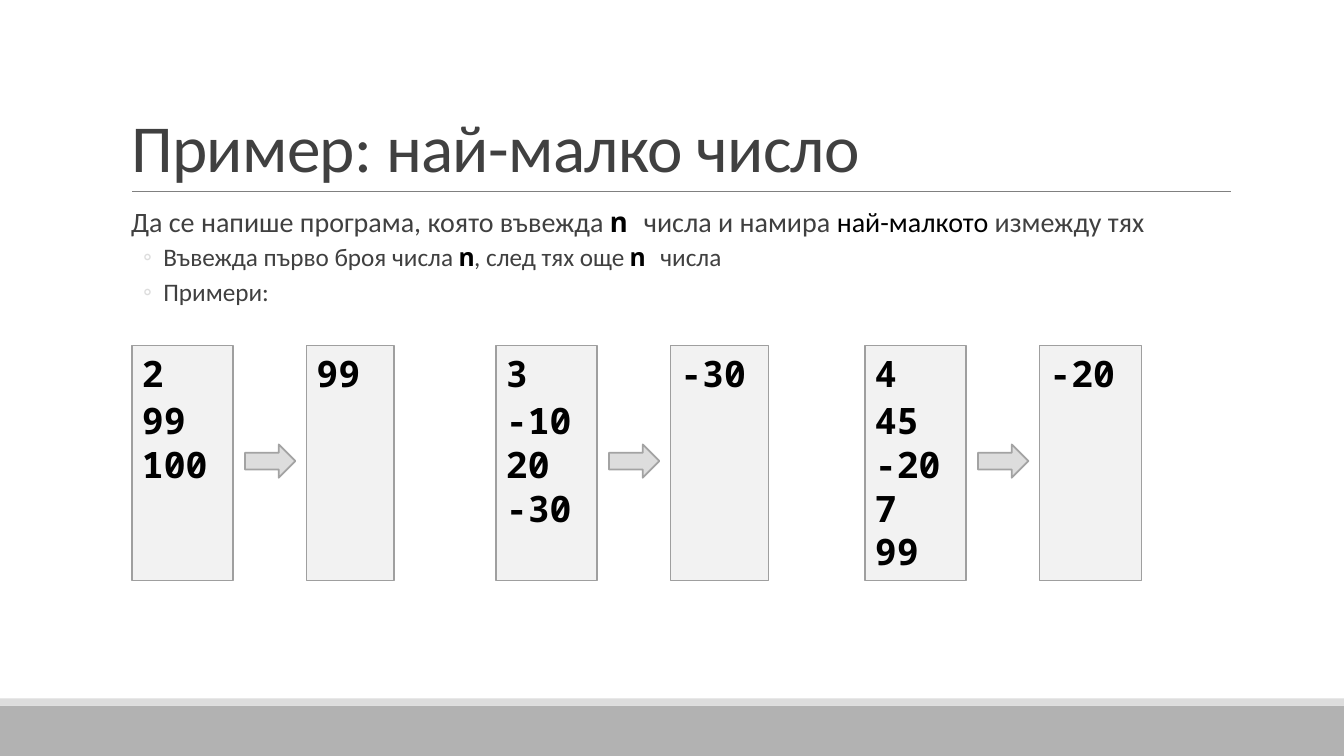
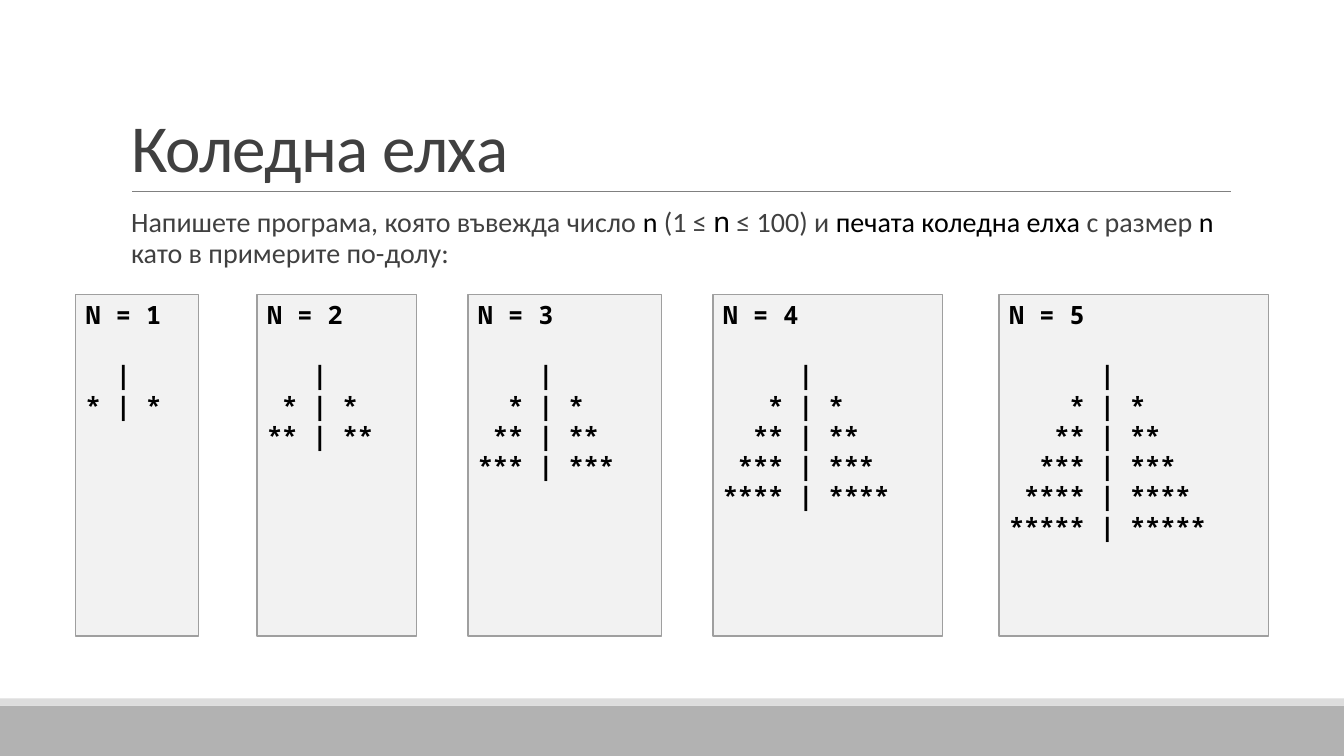
from lxml.etree import SubElement
from pptx import Presentation
from pptx.dml.color import RGBColor
from pptx.enum.shapes import MSO_CONNECTOR, MSO_SHAPE
from pptx.enum.text import MSO_ANCHOR as Anchor, MSO_AUTO_SIZE as AutoSize, PP_ALIGN as Align
from pptx.oxml.ns import qn
from pptx.util import Inches, Pt

SANS, MONO = "Calibri", "Noto Sans Mono"
INK, BLACK = "404040", "000000"
BAND, STRIPE, RULE = "B2B2B2", "DDDDDD", "808080"
PANEL, PANEL_EDGE, ARROW_EDGE = "BFBFBF", "9F9F9F", "A3A3A3"
SLIDE_W, SLIDE_H = 13.33, 7.5
TITLE_BOX = (1.2, 0.31, 11, 1.59)
BODY_BOX = (1.2, 2.02, 11, 4.4)
PLAIN, STRONG, CODE, CODE_BOLD = range(4)
LEVELS = [
    {"bullet": " ", "left": 0.1, "hang": 0.1, "size": 20, "before": 0, "after": 2},
    {"bullet": "◦", "left": 0.42, "hang": 0.2, "size": 18, "before": 2, "after": 4},
]


def rgb(code):
    """Turn a hex string into a colour."""
    return RGBColor.from_string(code)


def box(left, top, width, height):
    """Give a box in inches as lengths."""
    return [Inches(value) for value in (left, top, width, height)]


def place(placeholder, area):
    """Move a placeholder to a box."""
    placeholder.left, placeholder.top, placeholder.width, placeholder.height = box(*area)


def style(font, name, size, color, bold=False):
    """Set the face, size, colour and weight of a font."""
    font.name, font.size, font.bold = name, Pt(size), bold
    font.color.rgb = rgb(color)


def add_block(slide, preset, area, fill, edge=None, weight=1):
    """Add a filled shape, outlined when an edge colour is given."""
    block = slide.shapes.add_shape(preset, *box(*area))
    block.shadow.inherit = False
    block.fill.solid()
    block.fill.fore_color.rgb = rgb(fill)
    if edge:
        block.line.color.rgb = rgb(edge)
        block.line.width = Pt(weight)
    else:
        block.line.fill.background()
    return block


def add_frame(slide):
    """Draw the footer bands and the rule under the title."""
    add_block(slide, MSO_SHAPE.RECTANGLE, (0, 7, SLIDE_W, 0.5), BAND)
    add_block(slide, MSO_SHAPE.RECTANGLE, (0, 6.93, SLIDE_W, 0.07), STRIPE)
    rule = slide.shapes.add_connector(
        MSO_CONNECTOR.STRAIGHT, Inches(1.31), Inches(1.9), Inches(12.21), Inches(1.9))
    rule.line.color.rgb = rgb(RULE)
    rule.line.width = Pt(0.5)
    SubElement(rule._element.spPr, qn("a:effectLst"))


def fill_title(title, text):
    """Place and format the slide title."""
    place(title, TITLE_BOX)
    frame = title.text_frame
    frame.text = text
    frame.vertical_anchor, frame.auto_size = Anchor.BOTTOM, AutoSize.NONE
    heading = frame.paragraphs[0]
    heading.alignment, heading.line_spacing = Align.LEFT, 0.85
    style(heading.font, SANS, 48, INK)
    heading.runs[0]._r.get_or_add_rPr().set("spc", "-50")


def set_bullet(paragraph, level):
    """Give a paragraph its bullet and hanging indent."""
    props = paragraph._p.get_or_add_pPr()
    props.set("marL", str(Inches(level["left"])))
    props.set("indent", str(-Inches(level["hang"])))
    SubElement(SubElement(props, qn("a:buClr")), qn("a:srgbClr"), val=STRIPE)
    SubElement(props, qn("a:buFont"), typeface=SANS)
    SubElement(props, qn("a:buChar"), char=level["bullet"])


def fill_body(body, items):
    """Place the body and write its list of (level, runs) items."""
    place(body, BODY_BOX)
    frame = body.text_frame
    frame.margin_left = frame.margin_right = 0
    frame.vertical_anchor, frame.auto_size = Anchor.TOP, AutoSize.NONE
    for index, (depth, runs) in enumerate(items):
        item = frame.add_paragraph() if index else frame.paragraphs[0]
        level = LEVELS[depth]
        item.level = depth
        set_bullet(item, level)
        item.line_spacing = 0.9
        item.space_before, item.space_after = Pt(level["before"]), Pt(level["after"])
        style(item.font, SANS, level["size"], INK)
        for text, kind in runs:
            run = item.add_run()
            run.text = text
            if kind != PLAIN:
                run.font.color.rgb = rgb(BLACK)
            if kind in (CODE, CODE_BOLD):
                run.font.name = MONO
                run.font.bold = kind == CODE_BOLD


def add_console(slide, area, lines, size, gap):
    """Draw a translucent panel of code with a gap after its first line."""
    console = add_block(slide, MSO_SHAPE.RECTANGLE, area, PANEL, PANEL_EDGE)
    tint = console._element.spPr.find(qn("a:solidFill"))[0]
    SubElement(tint, qn("a:alpha"), val="20000")
    frame = console.text_frame
    frame.word_wrap, frame.vertical_anchor = True, Anchor.TOP
    for index, text in enumerate(lines):
        line = frame.add_paragraph() if index else frame.paragraphs[0]
        line.text = text
        line.alignment = Align.LEFT
        line.space_before = Pt(gap if index == 1 else 0)
        style(line.font, MONO, size, BLACK, True)


def add_example(slide, left, top, numbers, smallest, result_width):
    """Draw input numbers, an arrow and the smallest number."""
    height, size, gap = 2.33, 26, 3
    add_console(slide, (left, top, 1, height), numbers, size, gap)
    add_block(slide, MSO_SHAPE.RIGHT_ARROW, (left + 1.12, top + 0.98, 0.5, 0.33),
              STRIPE, ARROW_EDGE, 1.25)
    add_console(slide, (left + 1.73, top, result_width, height), [smallest], size, gap)


def tree_lines(size):
    """List the heading and rows of a tree of the given size."""
    rows = [" " * (size - stars) + "*" * stars + " | " + "*" * stars
            for stars in range(1, size + 1)]
    return [f"N = {size}", " " * (size + 1) + "|", *rows]


def add_task(deck, title, items):
    """Add a slide with the shared frame, a title and a body."""
    slide = deck.slides.add_slide(deck.slide_layouts[1])
    add_frame(slide)
    fill_title(slide.shapes.title, title)
    fill_body(slide.placeholders[1], items)
    return slide


def add_smallest_number(deck):
    """Build the smallest number slide."""
    slide = add_task(deck, "Пример: най-малко число", [
        (0, [("Да се напише програма, която въвежда ", PLAIN), ("n ", CODE_BOLD),
             ("числа и намира ", PLAIN), ("най-малкото", STRONG), (" измежду тях", PLAIN)]),
        (1, [("Въвежда първо броя числа ", PLAIN), ("n", CODE_BOLD),
             (", след тях още ", PLAIN), ("n ", CODE_BOLD), ("числа", PLAIN)]),
        (1, [("Примери:", PLAIN)]),
    ])
    examples = [
        (1.31, ["2", "99", "100"], "99", 0.87),
        (4.92, ["3", "-10", "20", "-30"], "-30", 0.97),
        (8.58, ["4", "45", "-20", "7", "99"], "-20", 1.01),
    ]
    for left, numbers, smallest, result_width in examples:
        add_example(slide, left, 3.43, numbers, smallest, result_width)


def add_christmas_tree(deck):
    """Build the Christmas tree slide."""
    slide = add_task(deck, "Коледна елха", [
        (0, [("Напишете програма, която въвежда число ", PLAIN), ("n", STRONG),
             (" (1 ≤ ", PLAIN), ("n", CODE), (" ≤ 100) и ", PLAIN),
             ("печата коледна елха ", STRONG), ("с размер ", PLAIN), ("n", STRONG),
             (" като в примерите по-долу:", PLAIN)]),
    ])
    columns = [(0.75, 1.22), (2.55, 1.58), (4.64, 1.92), (7.07, 2.28), (9.91, 2.67)]
    for size, (left, width) in enumerate(columns, 1):
        add_console(slide, (left, 2.92, width, 3.39), tree_lines(size), 18, 21.5)


def main():
    """Build and save the deck."""
    deck = Presentation()
    deck.slide_width, deck.slide_height = Inches(SLIDE_W), Inches(SLIDE_H)
    add_smallest_number(deck)
    add_christmas_tree(deck)
    deck.save("out.pptx")


if __name__ == "__main__":
    main()
